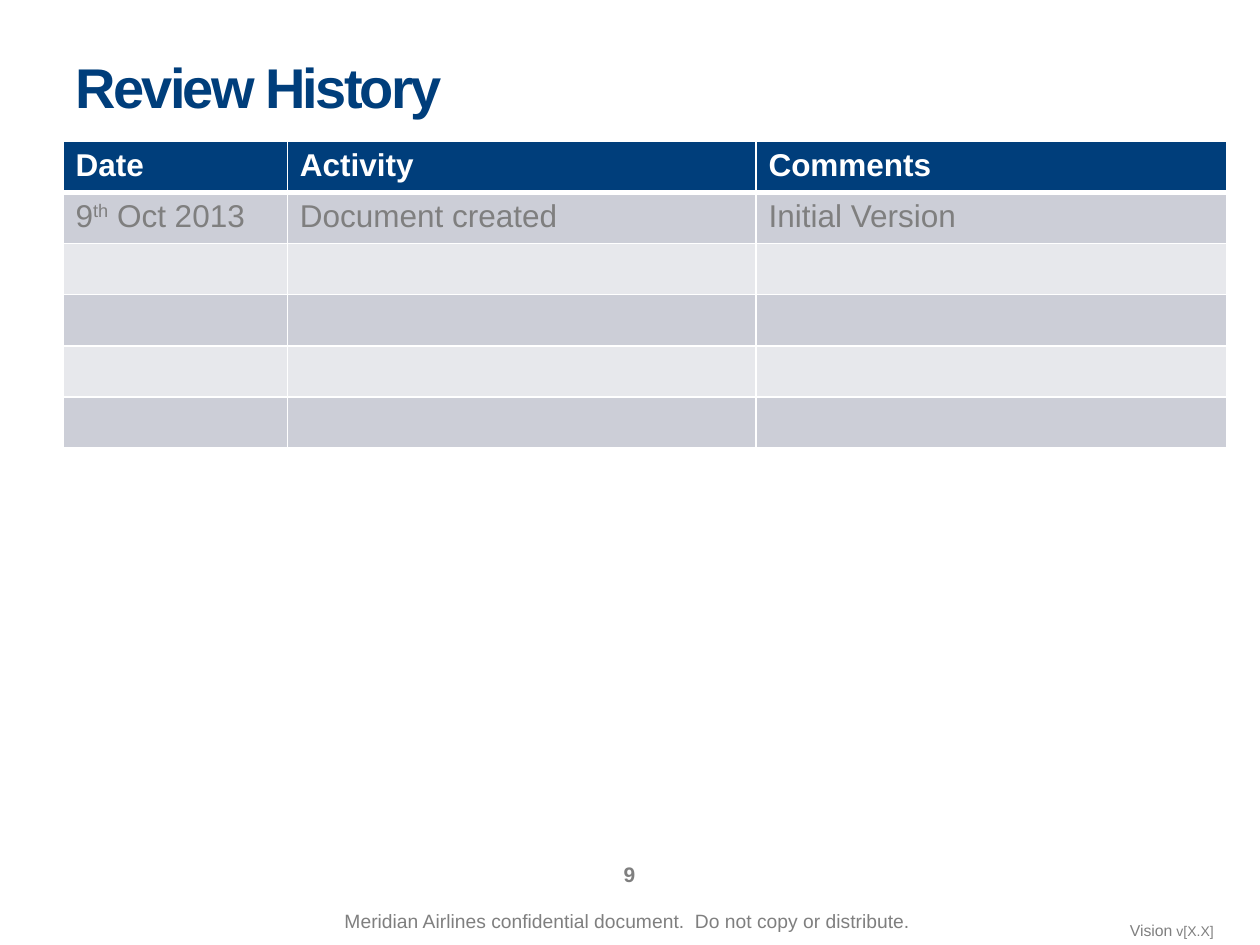
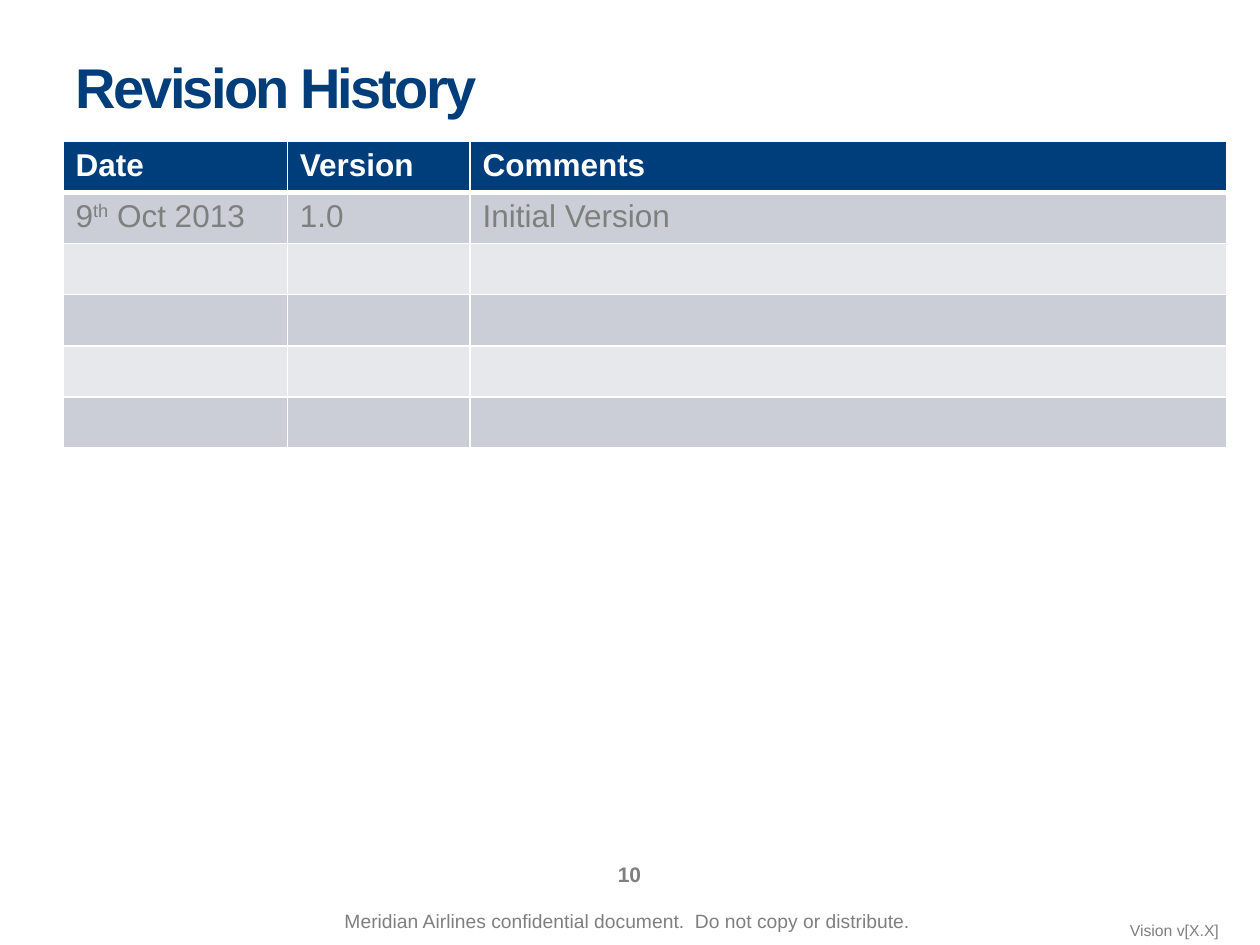
"""Build the review history and revision history slides."""
from dataclasses import dataclass

from lxml import etree
from pptx import Presentation
from pptx.dml.color import RGBColor
from pptx.enum.text import MSO_ANCHOR, MSO_AUTO_SIZE, PP_ALIGN
from pptx.oxml.ns import qn
from pptx.util import Pt

LEFT, CENTER = PP_ALIGN.LEFT, PP_ALIGN.CENTER
TOP, MIDDLE, BOTTOM = MSO_ANCHOR.TOP, MSO_ANCHOR.MIDDLE, MSO_ANCHOR.BOTTOM
NO_AUTOFIT = MSO_AUTO_SIZE.NONE

FONT = "Arial"
COLORS = {
    "navy": "003E7B",
    "gray": "7F7F7F",
    "white": "FFFFFF",
    "band_dark": "CCCED7",
    "band_light": "E7E8EC",
}
TITLE_ONLY_LAYOUT = 5
ROW_COUNT = 6
ROW_HEIGHT = 29.2
TABLE_LEFT, TABLE_TOP = 36, 80.8
CONFIDENTIAL = "Meridian Airlines confidential document.  Do not copy or distribute."


@dataclass(frozen=True)
class TextRun:
    text: str
    size: float
    color: str = "gray"
    bold: bool = False
    baseline: int = 0
    spacing: int = 0


@dataclass(frozen=True)
class TextArea:
    left: float
    top: float
    width: float
    height: float
    anchor: MSO_ANCHOR = MIDDLE
    align: PP_ALIGN = CENTER
    wrap: bool = True


@dataclass(frozen=True)
class HistorySlide:
    title: str
    number: int
    headings: tuple[str, ...]
    entry: tuple[str, ...]
    column_widths: tuple[float, ...]
    version_size: float


TITLE_AREA = TextArea(36, 21.6, 648, 50.4, anchor=BOTTOM, align=LEFT)
FOOTER_AREA = TextArea(144.7, 517, 427.7, 18.7, wrap=False)
NUMBER_AREA = TextArea(275.8, 485.3, 167.8, 28.8)
VERSION_AREA = TextArea(638.6, 522.7, 69.1, 18, anchor=TOP, align=LEFT)

HISTORY_SLIDES = (
    HistorySlide("Review History", 9, ("Date", "Activity", "Comments"),
                 ("Document created", "Initial Version"), (128.2, 267.8, 269.3), 8),
    HistorySlide("Revision History", 10, ("Date", "Version", "Comments"),
                 ("1.0", "Initial Version"), (128.2, 104.4, 432.7), 9),
)
DATE_RUNS = (TextRun("9", 18), TextRun("th", 18, baseline=30000), TextRun(" Oct 2013", 18))


def rgb(color: str) -> RGBColor:
    """Return the named colour."""
    return RGBColor.from_string(COLORS[color])


def write_runs(paragraph, runs: tuple[TextRun, ...]) -> None:
    """Add formatted runs to a paragraph."""
    for text_run in runs:
        run = paragraph.add_run()
        run.text = text_run.text
        font_format = {"name": FONT, "size": Pt(text_run.size), "bold": text_run.bold}
        for name, value in font_format.items():
            setattr(run.font, name, value)
        run.font.color.rgb = rgb(text_run.color)
        properties = run._r.get_or_add_rPr()
        for name, value in {"baseline": text_run.baseline, "spc": text_run.spacing}.items():
            if value:
                properties.set(name, str(value))


def fill_text_area(shape, area: TextArea, runs: tuple[TextRun, ...]) -> None:
    """Place a text shape and write its single paragraph."""
    for name in ("left", "top", "width", "height"):
        setattr(shape, name, Pt(getattr(area, name)))
    frame_format = {
        "word_wrap": area.wrap,
        "auto_size": NO_AUTOFIT,
        "vertical_anchor": area.anchor,
    }
    for name, value in frame_format.items():
        setattr(shape.text_frame, name, value)
    paragraph = shape.text_frame.paragraphs[0]
    paragraph.alignment = area.align
    write_runs(paragraph, runs)


def add_text(slide, area: TextArea, *runs: TextRun) -> None:
    """Add a text box to a slide."""
    fill_text_area(slide.shapes.add_textbox(0, 0, 0, 0), area, runs)


def set_borders(cell, top: float, bottom: float) -> None:
    """Draw white borders around a cell."""
    properties = cell._tc.get_or_add_tcPr()
    for side, width in {"L": 1, "R": 1, "T": top, "B": bottom}.items():
        line = etree.SubElement(properties, qn(f"a:ln{side}"), w=str(Pt(width)))
        fill = etree.SubElement(line, qn("a:solidFill"))
        etree.SubElement(fill, qn("a:srgbClr"), val=COLORS["white"])


def row_color(row: int) -> str:
    """Return the fill name of a table row."""
    if row == 0:
        return "navy"
    return "band_dark" if row % 2 else "band_light"


def add_history_table(slide, history: HistorySlide) -> None:
    """Add the banded table with its headings and first entry."""
    widths = history.column_widths
    table = slide.shapes.add_table(
        ROW_COUNT, len(widths), Pt(TABLE_LEFT), Pt(TABLE_TOP),
        Pt(sum(widths)), Pt(ROW_HEIGHT * ROW_COUNT)).table
    for column, width in zip(table.columns, widths):
        column.width = Pt(width)
    for row_index, row in enumerate(table.rows):
        row.height = Pt(ROW_HEIGHT)
        for cell in row.cells:
            set_borders(cell, 3 if row_index == 1 else 1, 3 if row_index == 0 else 1)
            cell.fill.solid()
            cell.fill.fore_color.rgb = rgb(row_color(row_index))
    headings = [(TextRun(text, 18, "white", bold=True),) for text in history.headings]
    entry = [DATE_RUNS, *((TextRun(text, 18),) for text in history.entry)]
    for row_index, row_runs in enumerate((headings, entry)):
        for column_index, runs in enumerate(row_runs):
            cell = table.cell(row_index, column_index)
            write_runs(cell.text_frame.paragraphs[0], runs)


def add_history_slide(presentation, history: HistorySlide) -> None:
    """Add one history slide with title, table and footers."""
    slide = presentation.slides.add_slide(presentation.slide_layouts[TITLE_ONLY_LAYOUT])
    title = TextRun(history.title, 32, "navy", bold=True, spacing=-160)
    fill_text_area(slide.shapes.title, TITLE_AREA, (title,))
    add_history_table(slide, history)
    add_text(slide, FOOTER_AREA, TextRun(CONFIDENTIAL, 11))
    add_text(slide, NUMBER_AREA, TextRun(str(history.number), 12, bold=True))
    add_text(slide, VERSION_AREA, TextRun("Vision", 9),
             TextRun(" v[X.X]", history.version_size))


def main() -> None:
    """Build and save the presentation."""
    presentation = Presentation()
    presentation.slide_width, presentation.slide_height = Pt(720), Pt(540)
    for history in HISTORY_SLIDES:
        add_history_slide(presentation, history)
    presentation.save("out.pptx")


if __name__ == "__main__":
    main()
